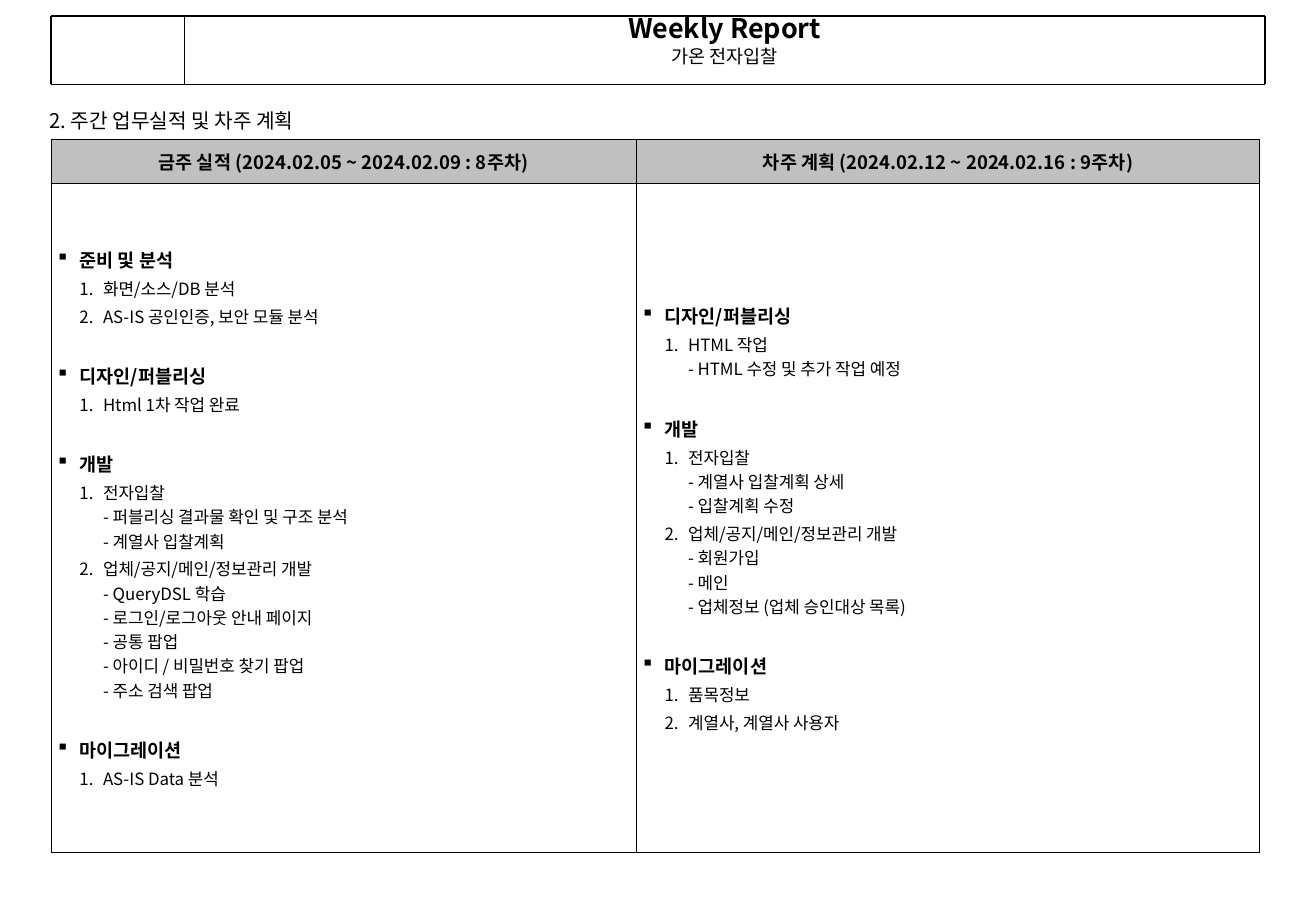
from copy import deepcopy

from lxml import etree
from pptx import Presentation, util as u
from pptx.dml.color import RGBColor
from pptx.enum import shapes, text as t
from pptx.oxml import ns

LEFT, RIGHT = 30.24, 750.24
HEADER_TOP, HEADER_BOTTOM, LOGO_EDGE = 9.36, 49.68, 109.44
COLUMNS = (347, 370)
ROWS = (26, 396.6)

THIS_WEEK = [
    ("준비 및 분석", ["화면/소스/DB 분석", "AS-IS 공인인증, 보안 모듈 분석"]),
    ("디자인/퍼블리싱", ["Html 1차 작업 완료"]),
    ("개발", [
        "전자입찰\n- 퍼블리싱 결과물 확인 및 구조 분석\n- 계열사 입찰계획",
        "업체/공지/메인/정보관리 개발\n- QueryDSL 학습\n- 로그인/로그아웃 안내 페이지\n"
        "- 공통 팝업\n- 아이디 / 비밀번호 찾기 팝업\n- 주소 검색 팝업",
    ]),
    ("마이그레이션", ["AS-IS Data 분석"]),
]
NEXT_WEEK = [
    ("디자인/퍼블리싱", ["HTML 작업\n- HTML 수정 및 추가 작업 예정"]),
    ("개발", [
        "전자입찰\n- 계열사 입찰계획 상세\n- 입찰계획 수정",
        "업체/공지/메인/정보관리 개발\n- 회원가입\n- 메인\n- 업체정보 (업체 승인대상 목록)",
    ]),
    ("마이그레이션", ["품목정보", "계열사, 계열사 사용자"]),
]
HEADINGS = ("금주 실적 (2024.02.05 ~ 2024.02.09 : 8주차)",
            "차주 계획 (2024.02.12 ~ 2024.02.16 : 9주차)")


def color(value):
    return RGBColor.from_string(value)


def add_child(parent, tag, **attributes):
    return etree.SubElement(parent, ns.qn(tag), attributes)


def set_margins(frame, horizontal, vertical):
    frame.margin_left = frame.margin_right = u.Pt(horizontal)
    frame.margin_top = frame.margin_bottom = u.Pt(vertical)


class Report:
    font = "Noto Sans CJK KR"
    ink = "000000"
    shade = "C0C0C0"

    def __init__(self, slide):
        self.slide = slide

    def add_text(self, frame, content, size=10, bold=False, align=t.PP_ALIGN.LEFT,
                 before=0, after=0, spacing=None, level=0, indent=0, bullet=None):
        """Fill the empty first paragraph of the frame, or add one after the others."""
        paragraph = frame.paragraphs[-1]
        if paragraph.runs:
            paragraph = frame.add_paragraph()
        paragraph.text = content
        paragraph.alignment = align
        paragraph.level = level
        paragraph.space_before, paragraph.space_after = u.Pt(before), u.Pt(after)
        if spacing:
            paragraph.line_spacing = spacing
        for run in paragraph.runs:
            run.font.size, run.font.bold, run.font.name = u.Pt(size), bold, self.font
            run.font.color.rgb = color(self.ink)
            add_child(run.font._element, "a:ea", typeface=self.font)
        for line_break in paragraph._p.findall(ns.qn("a:br")):
            line_break.append(deepcopy(paragraph.runs[0].font._element))
        if bullet:
            properties = paragraph._p.get_or_add_pPr()
            properties.set("marL", str(u.Pt(indent)))
            properties.set("indent", str(-u.Pt(14)))
            add_child(add_child(properties, "a:buClr"), "a:srgbClr", val=self.ink)
            if bullet == "1.":
                add_child(properties, "a:buAutoNum", type="arabicPeriod")
            else:
                add_child(properties, "a:buChar", char=bullet)

    def text_box(self, left, top, width, height, vertical_margin, anchor):
        frame = self.slide.shapes.add_textbox(
            *map(u.Pt, (left, top, width, height))).text_frame
        frame.word_wrap = True
        frame.vertical_anchor = anchor
        set_margins(frame, 7.2, vertical_margin)
        return frame

    def line(self, x1, y1, x2, y2, width):
        connector = self.slide.shapes.add_connector(
            shapes.MSO_CONNECTOR.STRAIGHT, *map(u.Pt, (x1, y1, x2, y2)))
        connector.line.color.rgb = color(self.ink)
        connector.line.width = u.Pt(width)
        add_child(connector._element.spPr, "a:effectLst")

    def table(self, left, top, columns, rows):
        table = self.slide.shapes.add_table(
            len(rows), len(columns),
            *map(u.Pt, (left, top, sum(columns), sum(rows)))).table
        for column, width in zip(table.columns, columns):
            column.width = u.Pt(width)
        for row, height in zip(table.rows, rows):
            row.height = u.Pt(height)
        return table

    def cell(self, cell, horizontal_margin, fill=None, top=0.45, right=0.45):
        """Style a table cell and return its text frame."""
        cell.vertical_anchor = t.MSO_ANCHOR.MIDDLE
        set_margins(cell, horizontal_margin, 3.6)
        properties = cell._tc.get_or_add_tcPr()
        for side, width in (("L", 0.45), ("R", right), ("T", top), ("B", 0.45)):
            border = add_child(properties, f"a:ln{side}", w=str(u.Pt(width)))
            add_child(add_child(border, "a:solidFill"), "a:srgbClr", val=self.ink)
        if fill:
            cell.fill.solid()
            cell.fill.fore_color.rgb = color(fill)
        else:
            cell.fill.background()
        return cell.text_frame

    def tasks(self, frame, sections):
        for number, (heading, items) in enumerate(sections):
            self.add_text(frame, heading, size=11, bold=True, before=19 if number else 1,
                          after=1, indent=14, bullet="▪")
            for item in items:
                self.add_text(frame, item, before=1, after=1, level=1, indent=28, bullet="1.")


def main():
    presentation = Presentation()
    presentation.slide_width, presentation.slide_height = u.Pt(780.48), u.Pt(540)
    report = Report(presentation.slides.add_slide(presentation.slide_layouts[6]))

    title = report.text_box(LOGO_EDGE, HEADER_TOP, RIGHT - LOGO_EDGE,
                            HEADER_BOTTOM - HEADER_TOP, 1.5, t.MSO_ANCHOR.TOP)
    center = t.PP_ALIGN.CENTER
    report.add_text(title, "Weekly Report", size=16, bold=True, align=center, spacing=0.8)
    report.add_text(title, "가온 전자입찰", size=11, align=center, before=2.8, spacing=0.8)
    for x, width in ((LOGO_EDGE, 0.25), (LEFT, 1.5), (RIGHT, 1.5)):
        report.line(x, HEADER_TOP, x, HEADER_BOTTOM, width)
    for y, width in ((HEADER_TOP, 1.5), (HEADER_BOTTOM, 0.25)):
        report.line(LEFT, y, RIGHT, y, width)

    section = report.text_box(22.3, 60.5, 221, 21.6, 3.6, t.MSO_ANCHOR.MIDDLE)
    report.add_text(section, "2. 주간 업무실적 및 차주 계획", size=12)

    table = report.table(LEFT, 82.8, COLUMNS, ROWS)
    for column, (heading, sections) in enumerate(zip(HEADINGS, (THIS_WEEK, NEXT_WEEK))):
        right = 0.75 if column else 0.45
        frame = report.cell(table.cell(0, column), 1.44, report.shade, 0.75, right)
        report.add_text(frame, heading, size=11, bold=True, align=center, before=2.8, after=2.8)
        report.tasks(report.cell(table.cell(1, column), 2.88, right=right), sections)

    presentation.save("out.pptx")


if __name__ == "__main__":
    main()
